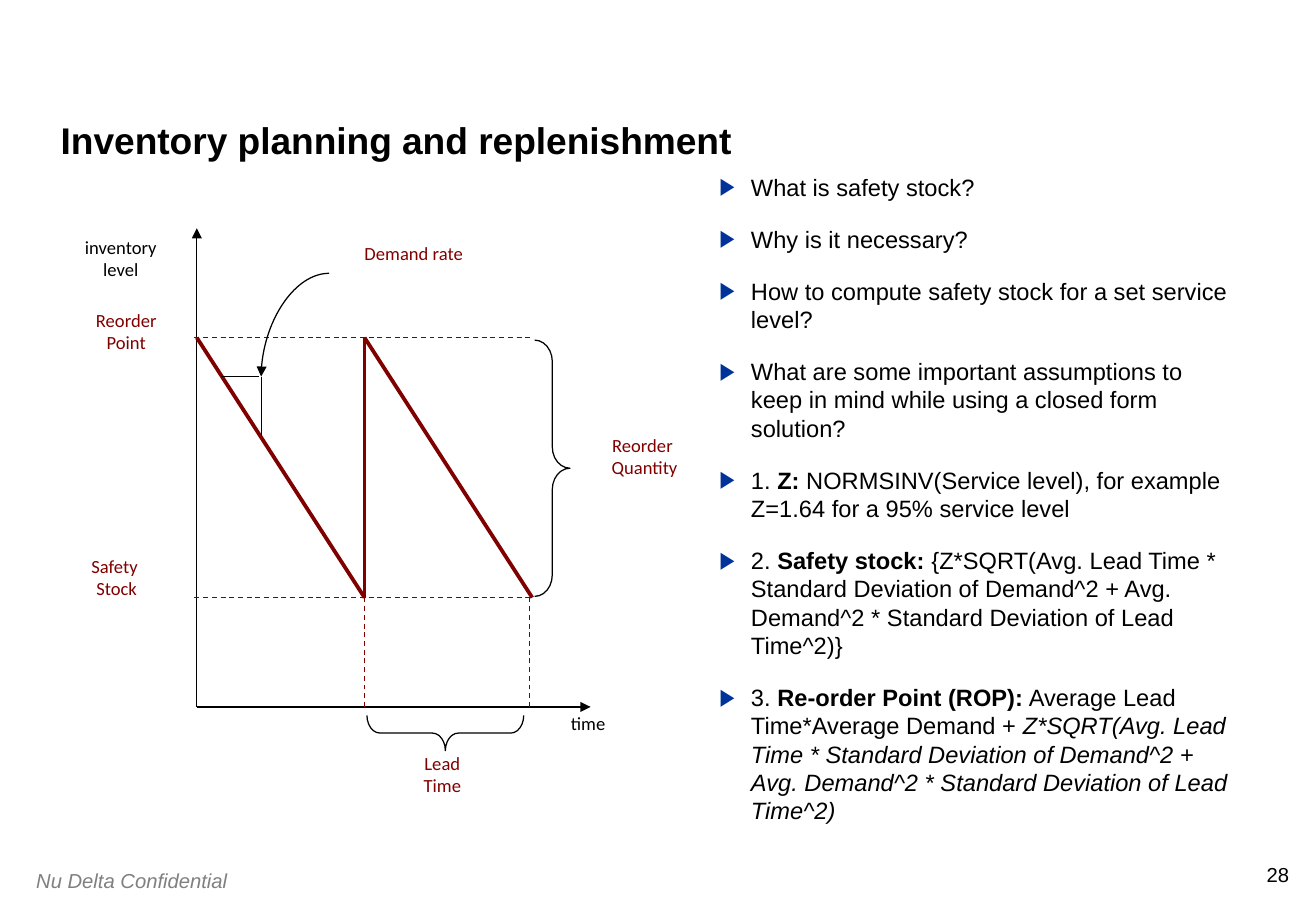
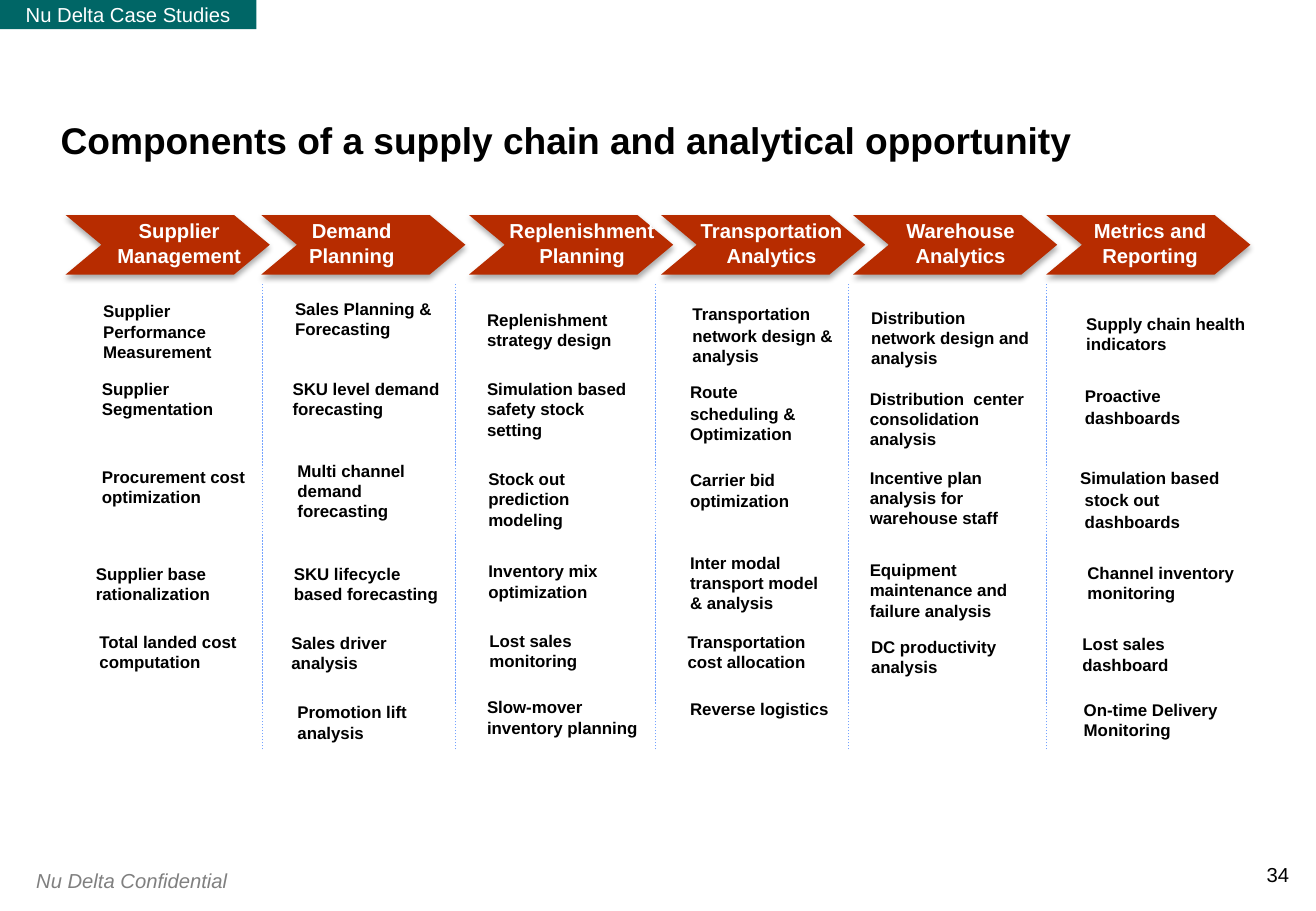
from lxml.etree import SubElement
from pptx import Presentation
from pptx.dml.color import RGBColor
from pptx.enum.dml import MSO_LINE
from pptx.enum.shapes import MSO_CONNECTOR as LINK, MSO_SHAPE as SHAPE
from pptx.enum.text import MSO_ANCHOR as ANCHOR, MSO_AUTO_SIZE as FIT, PP_ALIGN as ALIGN
from pptx.oxml.ns import qn
from pptx.util import Inches, Pt

WIDTH, HEIGHT = 10.83, 7.5
BLACK, WHITE, GREY = "000000", "FFFFFF", "808080"
MAROON, NAVY, RUST, TEAL, SKY = "800000", "003399", "B72C00", "006666", "75A3FF"
COMPANY = "Nu Delta"

# Inventory chart: time marks across, stock levels down
START, REFILL, END = 1.62, 3.0, 4.38
REORDER, SAFETY, BASE = 2.78, 4.92, 5.82

BULLETS = [
    ["What is safety stock?"],
    ["Why is it necessary?"],
    ["How to compute safety stock for a set service level?"],
    ["What are some important assumptions to keep in mind while using a closed form solution?"],
    ["1. ", ("Z:", "b"), " NORMSINV(Service level), for example Z=1.64 for a 95% service level"],
    ["2. ", ("Safety stock:", "b"),
     " {Z*SQRT(Avg. Lead Time * Standard Deviation of Demand^2 + Avg. Demand^2"
     " * Standard Deviation of Lead Time^2)}"],
    ["3. ", ("Re-order Point (ROP):", "b"), " Average Lead Time*Average Demand + ",
     ("Z*SQRT(Avg. Lead Time * Standard Deviation of Demand^2 + Avg. Demand^2"
      " * Standard Deviation of Lead Time^2)", "i")],
]

# Left, top, width, wraps, colour, text
CHART_LABELS = [
    (0.45, 4.52, 1.02, False, MAROON, "Safety \nStock"),
    (0.46, 2.49, 1.16, False, MAROON, "Reorder\nPoint"),
    (3.23, 6.14, 0.82, True, MAROON, "Lead Time"),
    (4.69, 3.52, 1.23, False, MAROON, "Reorder \nQuantity"),
    (4.48, 5.81, 0.72, False, BLACK, "time"),
    (0.33, 1.89, 1.33, False, BLACK, "inventory\nlevel"),
    (2.71, 1.94, 1.39, True, MAROON, "Demand rate"),
]

# Chevron left; heading, its left and width; item width; items as left, top, text[, own width]
STAGES = [
    (0.54, "Supplier Management", 0.83, 1.29, 1.41, [
        (0.75, 2.43, "Supplier Performance Measurement"),
        (0.74, 3.07, "Supplier Segmentation"),
        (0.74, 3.79, "Procurement cost optimization"),
        (0.69, 4.59, "Supplier base rationalization"),
        (0.72, 5.15, "Total landed cost computation")]),
    (2.15, "Demand Planning", 2.25, 1.29, 1.46, [
        (2.33, 2.41, "Sales Planning & Forecasting"),
        (2.31, 3.07, "SKU level demand forecasting"),
        (2.35, 3.74, "Multi channel demand forecasting"),
        (2.32, 4.59, "SKU lifecycle based forecasting"),
        (2.3, 5.16, "Sales driver analysis"),
        (2.35, 5.73, "Promotion lift analysis")]),
    (3.86, "Replenishment Planning", 4.04, 1.5, 1.46, [
        (3.91, 2.5, "Replenishment strategy design"),
        (3.91, 3.07, "Simulation based safety stock setting"),
        (3.92, 3.81, "Stock out prediction modeling"),
        (3.92, 4.57, "Inventory mix optimization", 1.3),
        (3.93, 5.14, "Lost sales monitoring"),
        (3.91, 5.69, "Slow-mover inventory planning")]),
    (5.44, "Transportation Analytics", 5.62, 1.46, 1.35, [
        (5.6, 2.45, "Transportation\nnetwork design & analysis", 1.75),
        (5.58, 3.09, "Route\nscheduling & Optimization", 1.75),
        (5.58, 3.82, "Carrier bid optimization"),
        (5.58, 4.5, "Inter modal transport model & analysis"),
        (5.56, 5.15, "Transportation cost allocation"),
        (5.58, 5.7, "Reverse logistics", 1.51)]),
    (7.02, "Warehouse Analytics", 7.3, 1.21, 1.5, [
        (7.07, 2.48, "Distribution network design and analysis"),
        (7.06, 3.15, "Distribution  center consolidation analysis"),
        (7.06, 3.8, "Incentive plan analysis for warehouse staff"),
        (7.06, 4.56, "Equipment maintenance and failure analysis"),
        (7.07, 5.19, "DC productivity analysis")]),
    (8.61, "Metrics and Reporting", 8.82, 1.29, 1.51, [
        (8.84, 2.53, "Supply chain health indicators"),
        (8.83, 3.13, "Proactive\ndashboards"),
        (8.79, 3.8, "Simulation based\n stock out\n dashboards"),
        (8.85, 4.58, "Channel inventory monitoring"),
        (8.81, 5.17, "Lost sales dashboard"),
        (8.82, 5.71, "On-time Delivery Monitoring")]),
]
SEPARATORS = [2.16, 3.75, 5.39, 6.98, 8.61]


def color(value):
    return RGBColor.from_string(value)


def inches(*lengths):
    return [Inches(length) for length in lengths]


def write(frame, paras, size, tint=BLACK, font="Arial", style="", align=ALIGN.LEFT, before=0):
    """Fill a frame; a run is a string or (string, style), where style holds b and i."""
    for index, runs in enumerate(paras):
        para = frame.paragraphs[0] if index == 0 else frame.add_paragraph()
        para.alignment = align
        para.space_before = Pt(before)
        for run in runs:
            words, own_style = (run, style) if isinstance(run, str) else run
            for number, line in enumerate(words.split("\n")):
                if number:
                    para.add_line_break()
                span = para.add_run()
                span.text = line
                span.font.name, span.font.size = font, Pt(size)
                span.font.bold, span.font.italic = "b" in own_style, "i" in own_style
                span.font.color.rgb = color(tint)


def set_insets(frame, inset):
    frame.margin_left = frame.margin_right = frame.margin_top = frame.margin_bottom = Inches(inset)


def text(page, at, paras, size, wrap=True, grow=True, inset=None, anchor=ANCHOR.TOP, **look):
    frame = page.shapes.add_textbox(*inches(*at)).text_frame
    frame.word_wrap = wrap
    frame.auto_size = FIT.SHAPE_TO_FIT_TEXT if grow else FIT.NONE
    frame.vertical_anchor = anchor
    if inset is not None:
        set_insets(frame, inset)
    write(frame, paras, size, **look)
    return frame


def shape(page, kind, at, fill=None, line=None, adjust=()):
    item = page.shapes.add_shape(kind, *inches(*at))
    item.shadow.inherit = False
    if fill:
        item.fill.solid()
        item.fill.fore_color.rgb = color(fill)
    else:
        item.fill.background()
    if line:
        item.line.color.rgb = color(line)
        item.line.width = Pt(0.75)
    else:
        item.line.fill.background()
    for index, value in enumerate(adjust):
        item.adjustments[index] = value
    return item


def line(page, start, end, tint=BLACK, weight=0.75, dashed=False, arrow=False, curved=False):
    kind = LINK.CURVE if curved else LINK.STRAIGHT
    link = page.shapes.add_connector(kind, *inches(*start, *end))
    link.line.color.rgb = color(tint)
    link.line.width = Pt(weight)
    if dashed:
        link.line.dash_style = MSO_LINE.DASH
    if arrow:
        SubElement(link.line._get_or_add_ln(), qn("a:tailEnd"), type="triangle")
    props = link._element.spPr
    if curved:
        props.find(qn("a:prstGeom")).set("prst", "curvedConnector2")
    SubElement(props, qn("a:effectLst"))


def cast_shadow(item):
    effects = item._element.spPr.find(qn("a:effectLst"))
    shadow = SubElement(effects, qn("a:outerShdw"), blurRad=str(Pt(3.5)), dist=str(Pt(2.2)),
                        dir="5400000", rotWithShape="0")
    tint = SubElement(shadow, qn("a:srgbClr"), val=BLACK)
    SubElement(tint, qn("a:alpha"), val="32000")


def add_bullet(para):
    props = para._p.get_or_add_pPr()
    props.set("marL", str(Inches(0.26)))
    props.set("indent", str(-Inches(0.26)))
    SubElement(SubElement(props, qn("a:buClr")), qn("a:srgbClr"), val=NAVY)
    SubElement(props, qn("a:buFont"), typeface="Arial")
    SubElement(props, qn("a:buChar"), char="▶")


def start_page(deck, title, number):
    """Add a blank page with the shared title, footer and page number."""
    page = deck.slides.add_slide(deck.slide_layouts[6])
    text(page, (10.4, 7.1, 0.21, 0.2), [[number]], 12, wrap=False, inset=0, align=ALIGN.RIGHT)
    text(page, (0.2, 7.1, 2, 0.3), [[COMPANY + " Confidential"]], 12, tint=GREY, style="i")
    frame = text(page, (0.5, 0.42, WIDTH - 1, 0.92), [[title]], 22, grow=False, inset=0,
                 anchor=ANCHOR.BOTTOM, style="b")
    frame.paragraphs[0].line_spacing = 0.9
    return page


def draw_inventory_chart(page):
    line(page, (START, BASE), (START, 1.88), arrow=True)
    line(page, (START, BASE), (4.86, BASE), arrow=True)
    for level in (REORDER, SAFETY):
        line(page, (START - 0.02, level), (END, level), MAROON, dashed=True)
    for left, top in ((REFILL, 3.78), (END - 0.02, SAFETY)):
        line(page, (left, BASE), (left, top), MAROON, dashed=True)
    stock = [(START, REORDER), (REFILL, SAFETY), (REFILL, REORDER), (END, SAFETY)]
    for begin, finish in zip(stock, stock[1:]):
        line(page, begin, finish, MAROON, 2.25)

    line(page, (1.82, 3.1), (2.13, 3.1))
    line(page, (2.15, 3.1), (2.15, 3.59))
    line(page, (2.71, 2.25), (2.15, 3.1), arrow=True, curved=True)

    shape(page, SHAPE.RIGHT_BRACE, (4.4, 2.8, 0.29, 2.11), line=BLACK, adjust=(0.61, 0.5))
    lead_time = shape(page, SHAPE.RIGHT_BRACE, (3.52, 5.39, 0.29, 1.29), line=BLACK,
                      adjust=(0.37, 0.5))
    lead_time.rotation = 90
    for left, top, width, wrap, tint, words in CHART_LABELS:
        text(page, (left, top, width, 0.61), [[words]], 11, wrap=wrap, tint=tint,
             font="Calibri", align=ALIGN.CENTER, before=1)


def build_inventory(deck):
    page = start_page(deck, "Inventory planning and replenishment", "28")
    draw_inventory_chart(page)
    frame = text(page, (5.92, 1.42, 4.19, 4.69), BULLETS, 14, grow=False, inset=0, before=14)
    for para in frame.paragraphs:
        add_bullet(para)


def build_components(deck):
    page = start_page(deck, "Components of a supply chain and analytical opportunity", "34")
    for left in SEPARATORS:
        line(page, (left, 6.17), (left, 2.33), SKY, 0.25, dashed=True)
    for stage in STAGES:
        cast_shadow(shape(page, SHAPE.CHEVRON, (stage[0], 1.77, 1.68, 0.49), RUST,
                          adjust=(0.6,)))
    for _, heading, left, width, item_width, items in STAGES:
        text(page, (left, 1.75, width, 0.5), [[heading]], 12, tint=WHITE, style="b",
             align=ALIGN.CENTER)
        for item_left, top, words, *own_width in items:
            text(page, (item_left, top, *(own_width or [item_width]), 0.44),
                 [[part] for part in words.split("\n")], 10, style="b", before=1)

    banner = shape(page, SHAPE.RECTANGLE, (0, 0, 2.11, 0.24), TEAL).text_frame
    banner.word_wrap = False
    banner.vertical_anchor = ANCHOR.MIDDLE
    set_insets(banner, 0.05)
    write(banner, [[COMPANY + " Case Studies"]], 12, tint=WHITE, align=ALIGN.CENTER)


def main():
    deck = Presentation()
    deck.slide_width, deck.slide_height = inches(WIDTH, HEIGHT)
    build_inventory(deck)
    build_components(deck)
    deck.save("out.pptx")


if __name__ == "__main__":
    main()
